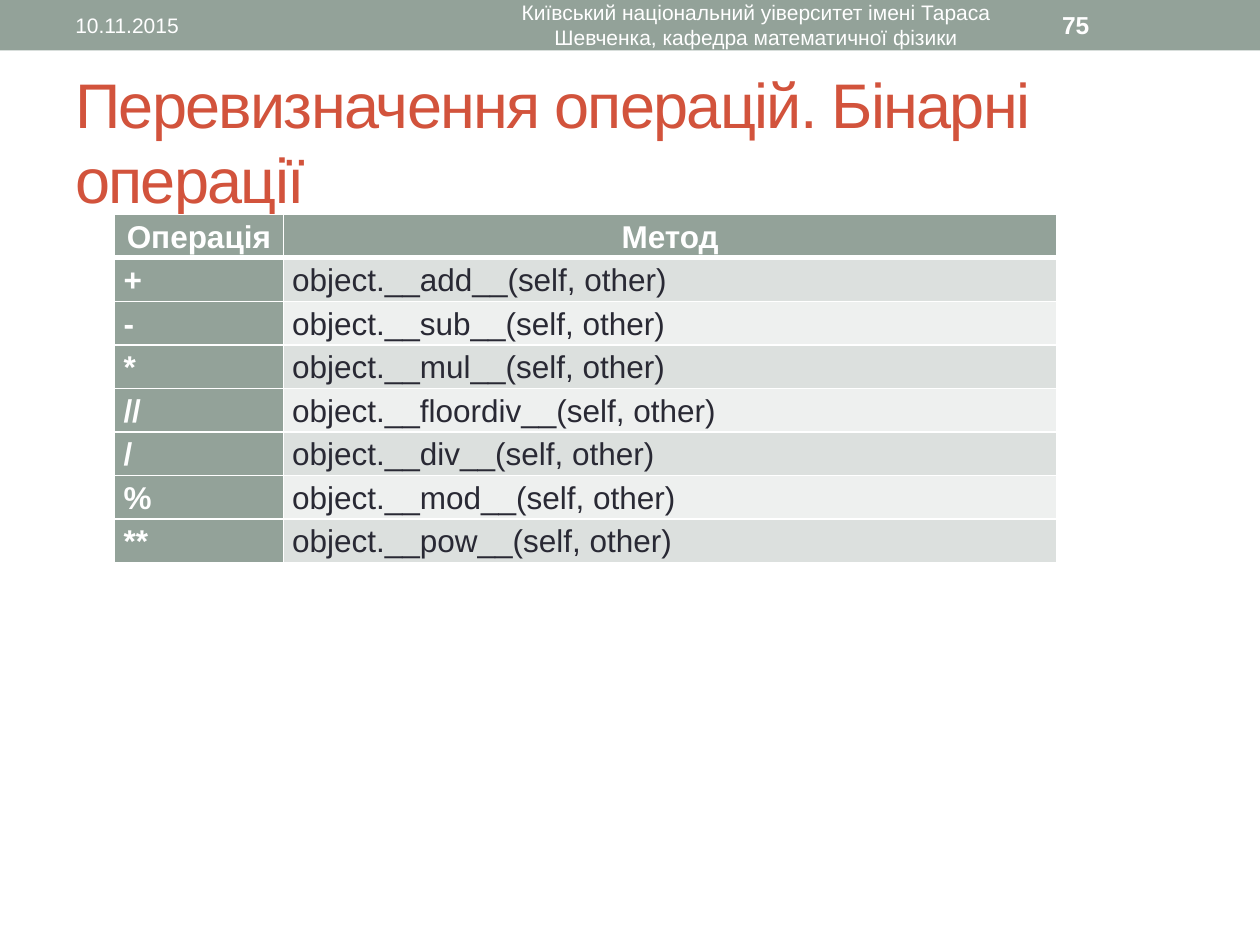
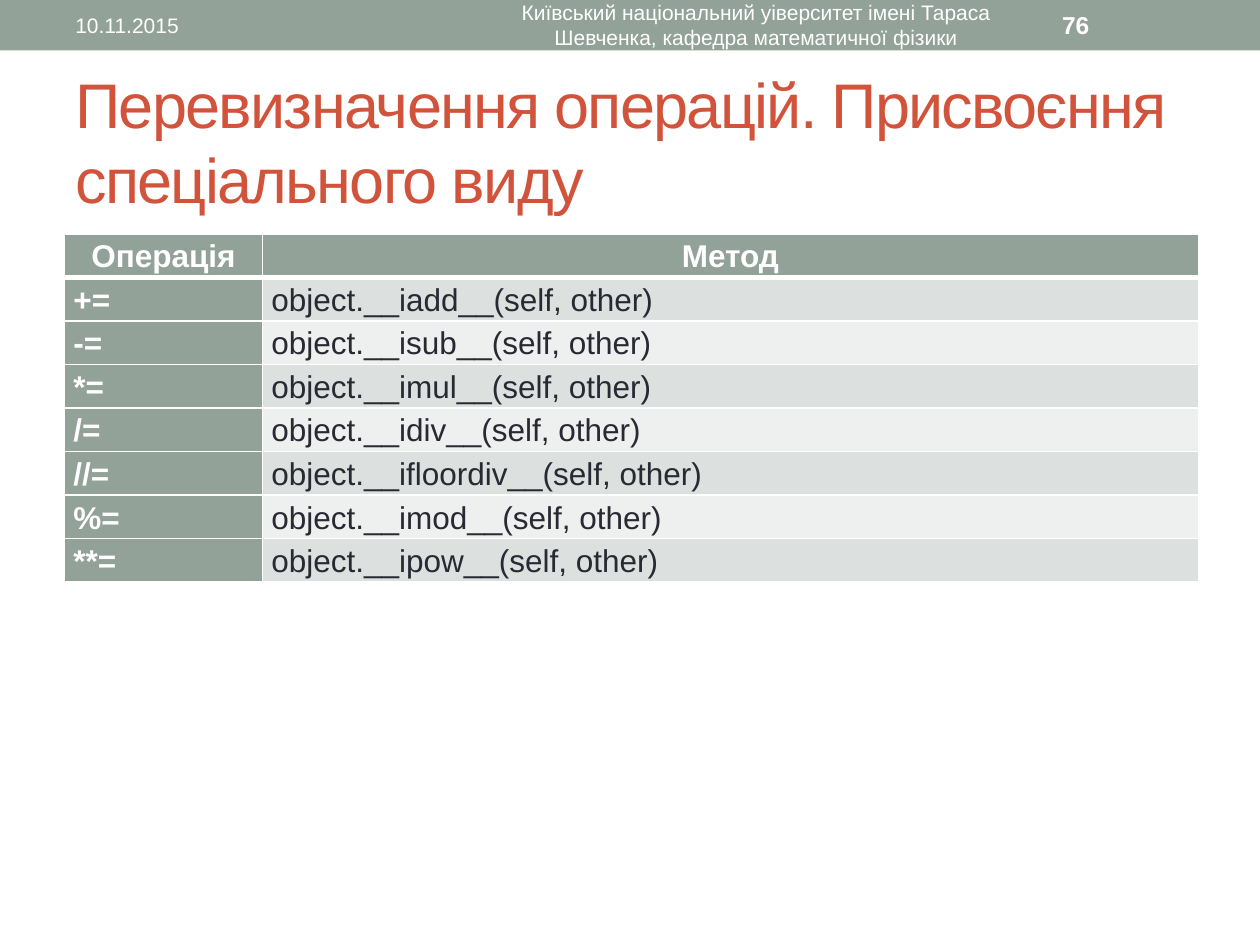
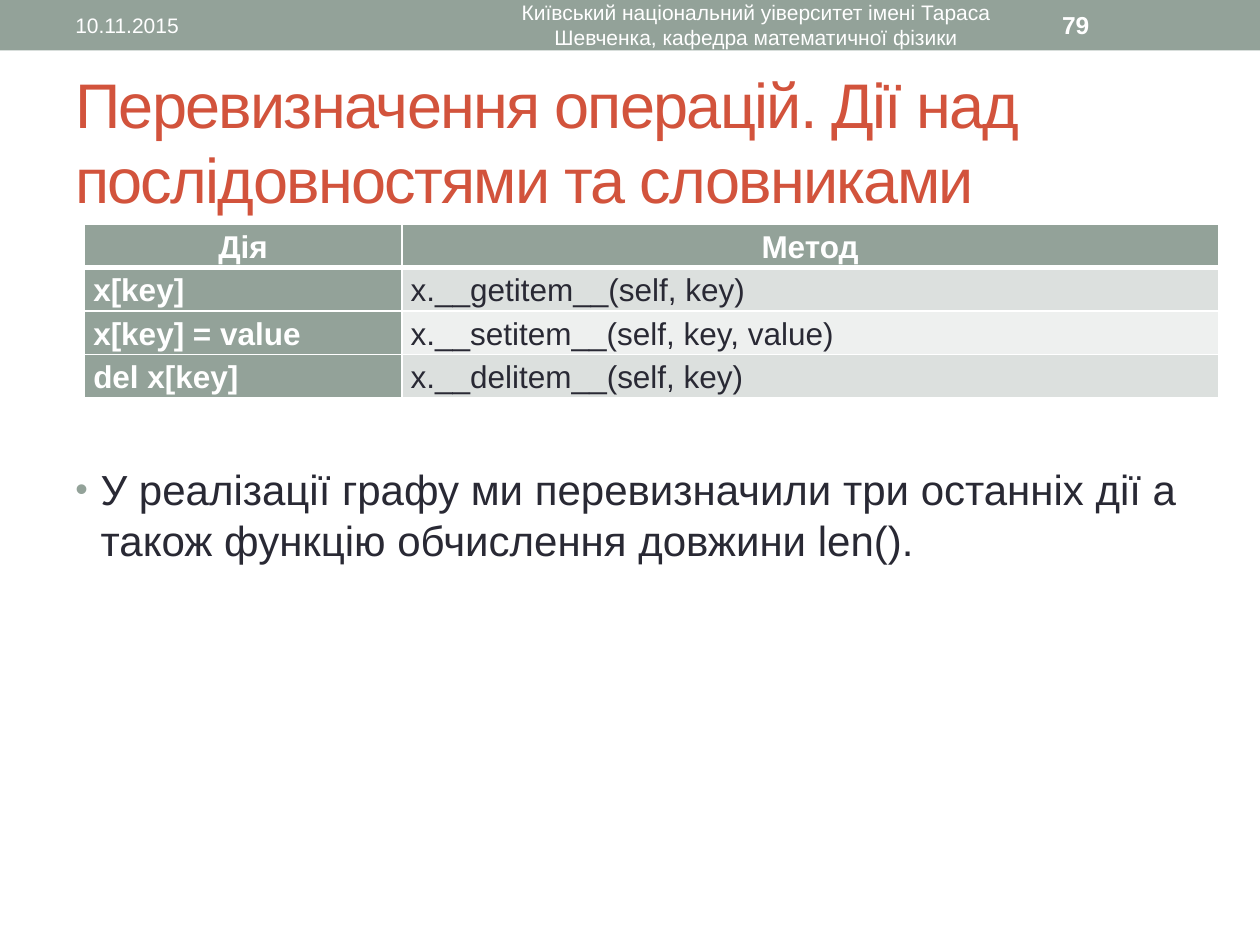
from lxml.etree import SubElement
from pptx import Presentation
from pptx.dml.color import RGBColor
from pptx.enum.shapes import MSO_SHAPE
from pptx.enum.text import MSO_ANCHOR, PP_ALIGN
from pptx.oxml.ns import qn
from pptx.util import Cm, Pt

FONT = "Arial"
SAGE, RED, INK, WHITE = "93A299", "D2533C", "292934", "FFFFFF"
STRIPES = ["DCE0DE", "EEF0EF"]
ROW_HEIGHT = 0.81
DATE = "10.11.2015"
FOOTER = "Київський національний уіверситет імені Тараса Шевченка, кафедра математичної фізики"

# Per slide: number, title, table left, top and column widths in cm, table rows
SLIDES = [
    ("75", "Перевизначення операцій. Бінарні операції", 2.31, 4.32, (3.4, 15.6), [
        ("Операція", "Метод"),
        ("+", "object.__add__(self, other)"),
        ("-", "object.__sub__(self, other)"),
        ("*", "object.__mul__(self, other)"),
        ("//", "object.__floordiv__(self, other)"),
        ("/", "object.__div__(self, other)"),
        ("%", "object.__mod__(self, other)"),
        ("**", "object.__pow__(self, other)"),
    ]),
    ("76", "Перевизначення операцій. Присвоєння спеціального виду", 1.3, 4.72, (3.99, 18.87), [
        ("Операція", "Метод"),
        ("+=", "object.__iadd__(self, other)"),
        ("-=", "object.__isub__(self, other)"),
        ("*=", "object.__imul__(self, other)"),
        ("/=", "object.__idiv__(self, other)"),
        ("//=", "object.__ifloordiv__(self, other)"),
        ("%=", "object.__imod__(self, other)"),
        ("**=", "object.__ipow__(self, other)"),
    ]),
    ("79", "Перевизначення операцій. Дії над послідовностями та словниками", 1.7, 4.52, (6.4, 16.46), [
        ("Дія", "Метод"),
        ("x[key]", "x.__getitem__(self, key)"),
        ("x[key] = value", "x.__setitem__(self, key, value)"),
        ("del x[key]", "x.__delitem__(self, key)"),
    ]),
]


def rgb(value):
    return RGBColor.from_string(value)


def add_text(s, text, left, top, width, height, size, color, align=PP_ALIGN.LEFT, bold=False):
    tf = s.shapes.add_textbox(Cm(left), Cm(top), Cm(width), Cm(height)).text_frame
    tf.word_wrap = True
    tf.vertical_anchor = MSO_ANCHOR.MIDDLE
    p = tf.paragraphs[0]
    p.text = text
    p.alignment = align
    p.font.name, p.font.size, p.font.bold = FONT, Pt(size), bold
    p.font.color.rgb = rgb(color)
    return tf


prs = Presentation()
prs.slide_width, prs.slide_height = Cm(25.4), Cm(19.05)

for number, title, left, top, widths, rows in SLIDES:
    s = prs.slides.add_slide(prs.slide_layouts[6])

    # Top band with date, footer and slide number
    band = s.shapes.add_shape(MSO_SHAPE.RECTANGLE, 0, 0, prs.slide_width, Cm(1.02))
    band.shadow.inherit = False
    band.fill.solid()
    band.fill.fore_color.rgb = rgb(SAGE)
    band.line.fill.background()
    add_text(s, DATE, 1.27, 0.05, 8.05, 0.91, 12, WHITE)
    add_text(s, FOOTER, 9.53, 0.05, 11.43, 0.91, 12, WHITE, PP_ALIGN.CENTER)
    add_text(s, number, 21.16, 0.05, 2.97, 0.91, 14, WHITE, bold=True)

    # Title with tightened letters
    tf = add_text(s, title, 1.27, 1.47, 22.86, 2.74, 36, RED)
    tf.paragraphs[0].runs[0].font._element.set("spc", "-100")

    # Table of operations and methods
    table = s.shapes.add_table(len(rows), 2, Cm(left), Cm(top), Cm(sum(widths)),
                               Cm(ROW_HEIGHT * len(rows))).table
    for column, width in zip(table.columns, widths):
        column.width = Cm(width)
    for i, row in enumerate(rows):
        for j, text in enumerate(row):
            cell = table.cell(i, j)
            cell.margin_left = cell.margin_right = Cm(0.18)
            cell.margin_top = cell.margin_bottom = 0
            is_head = i == 0 or j == 0

            # White borders, thicker under the header row
            for side in "LRTB":
                thick = (i, side) in [(0, "B"), (1, "T")]
                ln = SubElement(cell._tc.get_or_add_tcPr(), qn(f"a:ln{side}"), w=str(Pt(3 if thick else 1)))
                SubElement(SubElement(ln, qn("a:solidFill")), qn("a:srgbClr"), val=WHITE)
            cell.fill.solid()
            cell.fill.fore_color.rgb = rgb(SAGE if is_head else STRIPES[(i - 1) % 2])

            p = cell.text_frame.paragraphs[0]
            p.text = text
            p.line_spacing = 1.15
            p.alignment = PP_ALIGN.CENTER if i == 0 else PP_ALIGN.LEFT
            p.font.name, p.font.size, p.font.bold = FONT, Pt(18), is_head
            p.font.color.rgb = rgb(WHITE if is_head else INK)

# Bulleted remark below the last table
tf = add_text(s, "У реалізації графу ми перевизначили три останніх дії а також функцію обчислення довжини len().",
              1.27, 4.45, 22.86, 13.54, 24, INK)
tf.vertical_anchor = MSO_ANCHOR.TOP
tf.margin_top = Cm(4.9)
pPr = tf.paragraphs[0]._p.get_or_add_pPr()
pPr.set("marL", str(Cm(0.51)))
pPr.set("indent", str(-Cm(0.51)))
bullet_color = pPr.makeelement(qn("a:buClr"))
SubElement(bullet_color, qn("a:srgbClr"), val=SAGE)
pPr.insert(0, bullet_color)
pPr.insert(1, pPr.makeelement(qn("a:buSzPct"), val="85000"))
pPr.insert(2, pPr.makeelement(qn("a:buFont"), typeface=FONT))
pPr.insert(3, pPr.makeelement(qn("a:buChar"), char="•"))

prs.save("out.pptx")
